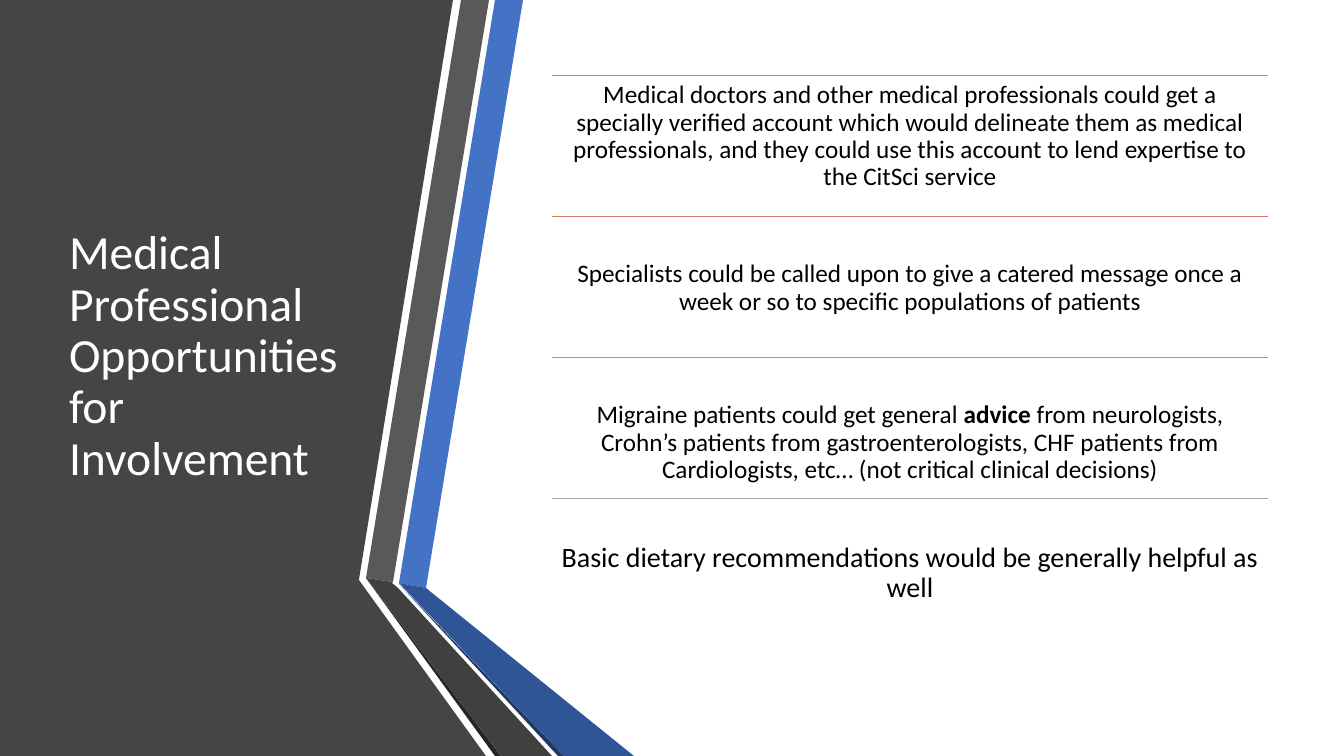
from dataclasses import dataclass

from lxml.etree import SubElement
from pptx import Presentation
from pptx.dml.color import RGBColor
from pptx.enum.shapes import MSO_CONNECTOR
from pptx.enum.text import MSO_ANCHOR, PP_ALIGN
from pptx.oxml.ns import qn
from pptx.util import Pt

PX = 9071.43  # EMU in one pixel at 100.8 pixels to the inch


@dataclass(frozen=True)
class Theme:
    font: str = "Calibri"
    title_size: int = 34
    body_size: int = 18
    closing_size: int = 20
    title: str = "FFFFFF"
    body: str = "000000"
    panel: str = "454545"
    blue: str = "4472C4"
    blue_dark: str = "2F5597"
    blue_edge: str = "203864"
    grey: str = "595959"
    grey_dark: str = "404040"
    grey_edge: str = "262626"
    rules: tuple = ("ED7D31", "D17B5C", "B98A82", "A5A5A5")


THEME = Theme()

# Ribbon facets, back to front: fill and corners
FACETS = [
    (THEME.panel, [(0, 0), (453, 0), (359, 580), (486, 756), (0, 756)]),
    (THEME.blue, [(399, 583), (426, 588), (523, 0), (495, 0)]),
    (THEME.grey, [(489, 0), (461, 0), (366, 578), (393, 582)]),
    (THEME.grey_edge, [(366, 578), (495, 756), (501, 756)]),
    (THEME.blue_edge, [(399, 584), (558, 756), (564, 756)]),
    (THEME.blue_dark, [(399, 583), (564, 756), (634, 756), (426, 588)]),
    (THEME.grey_dark, [(552, 756), (398, 588), (392, 583), (393, 582),
                       (366, 578), (501, 756)]),
]

# Opportunities: text pieces (every second one bold), type size, top inset
OPPORTUNITIES = [
    (["Medical doctors and other medical professionals could get a specially "
      "verified account which would delineate them as medical professionals, "
      "and they could use this account to lend expertise to the CitSci "
      "service"], THEME.body_size, 7),
    (["Specialists could be called upon to give a catered message once a week "
      "or so to specific populations of patients"], THEME.body_size, 45),
    (["Migraine patients could get general ", "advice",
      " from neurologists, Crohn\u2019s patients from gastroenterologists, CHF "
      "patients from Cardiologists, etc\u2026 (not critical clinical "
      "decisions)"], THEME.body_size, 45),
    (["Basic dietary recommendations would be generally helpful as well"],
     THEME.closing_size, 45),
]
LIST_LEFT, LIST_TOP, LIST_WIDTH, ROW_HEIGHT = 552, 75, 716, 141


def px(n):
    return round(n * PX)


def add_facet(s, color, corners):
    builder = s.shapes.build_freeform(*corners[0], scale=PX)
    builder.add_line_segments(corners[1:], close=True)
    sp = builder.convert_to_shape()
    sp.shadow.inherit = False
    sp.fill.solid()
    sp.fill.fore_color.rgb = RGBColor.from_string(color)
    sp.line.fill.background()


def add_rule(s, left, top, width, color):
    line = s.shapes.add_connector(MSO_CONNECTOR.STRAIGHT, px(left), px(top),
                                  px(left + width), px(top))
    line.line.color.rgb = RGBColor.from_string(color)
    line.line.width = Pt(0.5)
    SubElement(line._element.spPr, qn("a:effectLst"))


def add_text(s, box, pieces, size, color, insets, align, anchor):
    tf = s.shapes.add_textbox(*map(px, box)).text_frame
    tf.word_wrap = True
    tf.vertical_anchor = anchor
    tf.margin_left, tf.margin_top, tf.margin_right, tf.margin_bottom = map(px, insets)
    p = tf.paragraphs[0]
    p.alignment = align
    p.line_spacing = 0.9
    for i, piece in enumerate(pieces):
        r = p.add_run()
        r.text = piece
        r.font.name = THEME.font
        r.font.size = Pt(size)
        r.font.bold = i % 2 == 1
        r.font.color.rgb = RGBColor.from_string(color)


def main():
    prs = Presentation()
    prs.slide_width, prs.slide_height = px(1344), px(756)
    s = prs.slides.add_slide(prs.slide_layouts[6])

    # Dark panel and folded ribbons
    for color, corners in FACETS:
        add_facet(s, color, corners)

    # Title
    add_text(s, (59, 76, 306, 562),
             ["Medical Professional Opportunities for Involvement"],
             THEME.title_size, THEME.title, (10, 5, 10, 5),
             PP_ALIGN.LEFT, MSO_ANCHOR.MIDDLE)

    # Ruled list of opportunities
    for i, (pieces, size, inset) in enumerate(OPPORTUNITIES):
        top = LIST_TOP + i * ROW_HEIGHT
        add_rule(s, LIST_LEFT, top, LIST_WIDTH, THEME.rules[i])
        add_text(s, (LIST_LEFT, top, LIST_WIDTH, ROW_HEIGHT), pieces, size,
                 THEME.body, (7, inset, 7, 7), PP_ALIGN.CENTER, MSO_ANCHOR.TOP)

    prs.save("out.pptx")


main()
